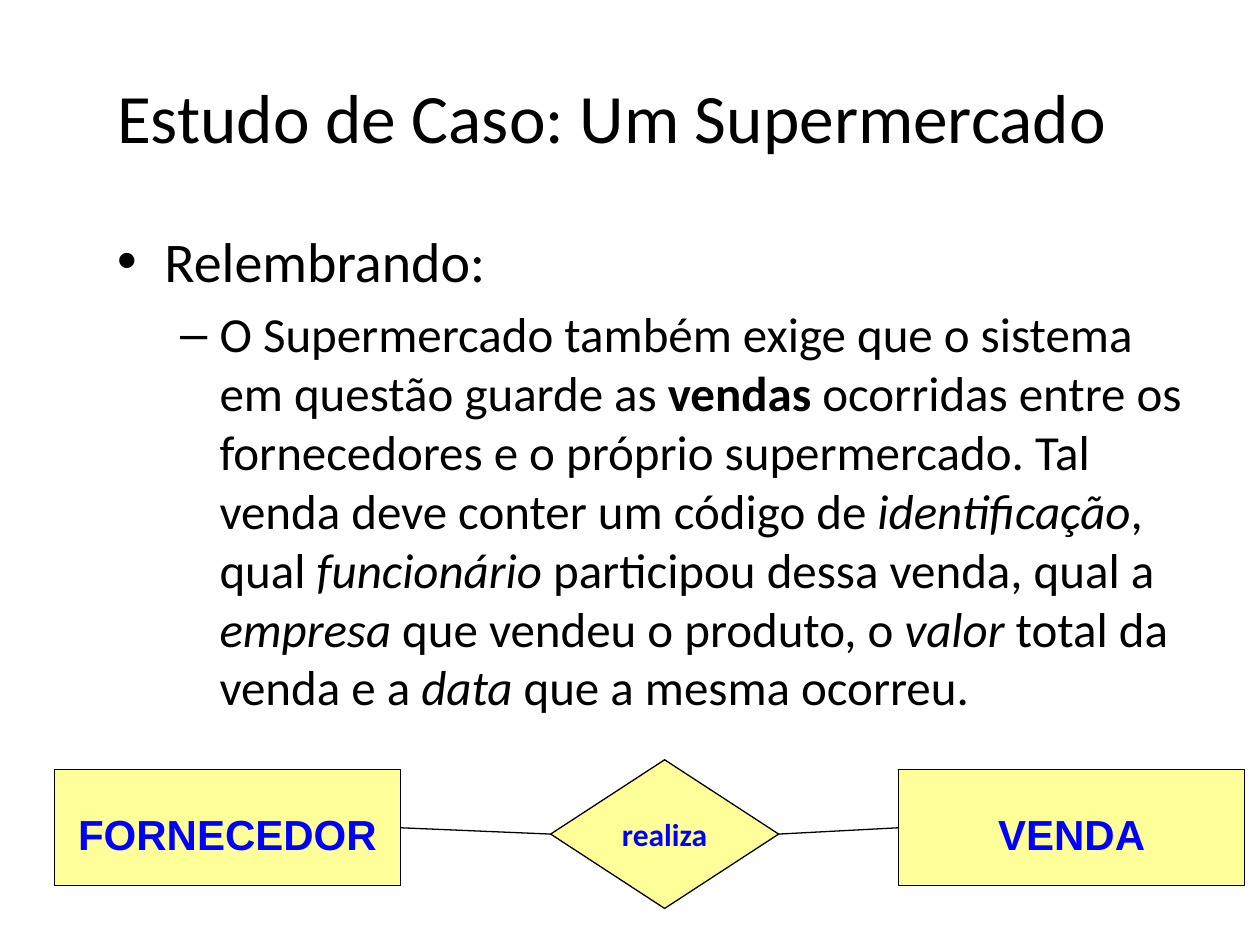
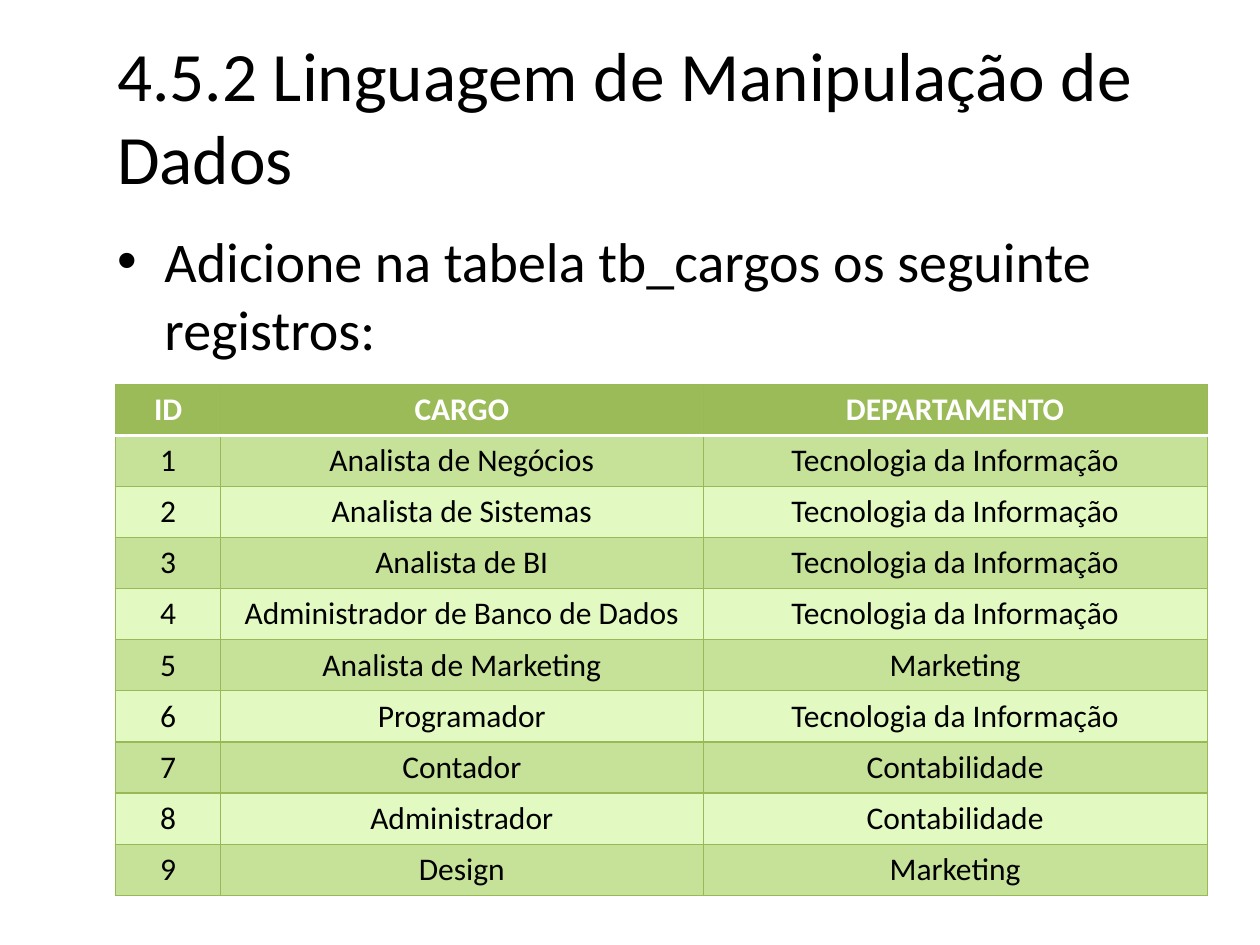
"""Build two database course slides: an entity diagram and a table exercise."""
from lxml import etree
from pptx import Presentation
from pptx.dml.color import RGBColor
from pptx.enum import shapes, text
from pptx.oxml.ns import qn
from pptx.util import Inches, Pt

BLACK = RGBColor(0x00, 0x00, 0x00)
WHITE = RGBColor(0xFF, 0xFF, 0xFF)
BLUE = RGBColor(0x00, 0x00, 0xFF)
YELLOW = RGBColor(0xFF, 0xFF, 0x99)
GREEN = RGBColor(0x9B, 0xBB, 0x59)
BORDER = RGBColor(0x98, 0xB9, 0x55)
BANDS = (RGBColor(0xC6, 0xE1, 0x98), RGBColor(0xE2, 0xFA, 0xC1))
FONT = "Calibri"

CASE_TITLE = "Estudo de Caso: Um Supermercado"
CASE_BODY = [
    (0, [("Relembrando:", "")]),
    (1, [
        ("O Supermercado também exige que o sistema em questão guarde as ", ""),
        ("vendas", "b"),
        (" ocorridas entre os fornecedores e o próprio supermercado. "
         "Tal venda deve conter um código de ", ""),
        ("identificação", "i"),
        (", qual ", ""),
        ("funcionário", "i"),
        (" participou dessa venda, qual a ", ""),
        ("empresa", "i"),
        (" que vendeu o produto, o ", ""),
        ("valor ", "i"),
        ("total da venda e a ", ""),
        ("data", "i"),
        (" que a mesma ocorreu.", ""),
    ]),
]
RECT, DIAMOND = shapes.MSO_SHAPE.RECTANGLE, shapes.MSO_SHAPE.DIAMOND
DIAGRAM = [
    ("FORNECEDOR", RECT, (0.43, 6.11, 2.75, 0.92), "Arial", 24),
    ("realiza", DIAMOND, (4.37, 6.03, 1.81, 1.18), FONT, 18),
    ("VENDA", RECT, (7.13, 6.11, 2.75, 0.92), "Arial", 24),
]

DML_TITLE = "4.5.2 Linguagem de Manipulação de Dados"
DML_BODY = [(0, [("Adicione na tabela tb_cargos os seguinte registros:", "")])]
IT = "Tecnologia da Informação"
HEADER = ("ID", "CARGO", "DEPARTAMENTO")
JOBS = [
    ("Analista de Negócios", IT),
    ("Analista de Sistemas", IT),
    ("Analista de BI", IT),
    ("Administrador de Banco de Dados", IT),
    ("Analista de Marketing", "Marketing"),
    ("Programador", IT),
    ("Contador", "Contabilidade"),
    ("Administrador", "Contabilidade"),
    ("Design", "Marketing"),
]
COLUMNS = (0.83, 3.83, 4)
ROW_HEIGHT = 0.4
TABLE_AT = (0.92, 3.05)


def place(sp, left, top, width, height):
    sp.left, sp.top = Inches(left), Inches(top)
    sp.width, sp.height = Inches(width), Inches(height)


def style(p, size, color=BLACK, name=FONT, bold=None):
    p.font.size, p.font.name, p.font.bold = Pt(size), name, bold
    p.font.color.rgb = color


def add_slide(prs, title, body):
    slide = prs.slides.add_slide(prs.slide_layouts[1])
    heading, content = slide.placeholders
    place(heading, 0.83, 0.29, 8.83, 1.25)
    heading.text_frame.text = title
    heading.text_frame.auto_size = text.MSO_AUTO_SIZE.NONE
    p = heading.text_frame.paragraphs[0]
    p.alignment = text.PP_ALIGN.LEFT
    style(p, 39.6)

    place(content, 0.83, 1.75, 8.83, 4.7)
    tf = content.text_frame
    tf.auto_size = text.MSO_AUTO_SIZE.NONE
    for i, (level, runs) in enumerate(body):
        p = tf.add_paragraph() if i else tf.paragraphs[0]
        p.level = level
        if i == 0:
            p.space_before = Pt(0)
        for words, mark in runs:
            r = p.add_run()
            r.text = words
            if mark == "b":
                r.font.bold = True
            elif mark == "i":
                r.font.italic = True
        style(p, 28 if level else 32)
    return slide


def add_node(slide, label, kind, box, name, size):
    sp = slide.shapes.add_shape(kind, *map(Inches, box))
    sp.shadow.inherit = False
    sp.fill.solid()
    sp.fill.fore_color.rgb = YELLOW
    sp.line.color.rgb = BLACK
    sp.line.width = Pt(0.75)
    tf = sp.text_frame
    tf.vertical_anchor = text.MSO_ANCHOR.MIDDLE
    tf.word_wrap = kind == RECT
    if kind == RECT:
        tf.margin_top, tf.margin_bottom = Inches(0.15), Inches(0.05)
    p = tf.paragraphs[0]
    p.text = label
    p.alignment = text.PP_ALIGN.CENTER
    style(p, size, BLUE, name, True)
    return sp


def link(slide, start, end):
    line = slide.shapes.add_connector(shapes.MSO_CONNECTOR.STRAIGHT, 0, 0, 0, 0)
    line.begin_connect(start, 3)
    line.end_connect(end, 1)
    line.line.color.rgb = BLACK
    line.line.width = Pt(0.75)
    etree.SubElement(line._element.spPr, qn("a:effectLst"))


def fill_cell(cell, words, fill, color, bold, borders):
    p = cell.text_frame.paragraphs[0]
    p.text = words
    p.alignment = text.PP_ALIGN.CENTER
    style(p, 18, color, bold=bold)
    tc_pr = cell._tc.get_or_add_tcPr()
    for side, (line_color, width) in borders.items():
        ln = etree.SubElement(tc_pr, qn(f"a:ln{side}"), w=str(Pt(width)))
        solid = etree.SubElement(ln, qn("a:solidFill"))
        etree.SubElement(solid, qn("a:srgbClr"), val=str(line_color))
    cell.fill.solid()
    cell.fill.fore_color.rgb = fill


def add_jobs_table(slide):
    rows = [HEADER] + [(str(i), *job) for i, job in enumerate(JOBS, 1)]
    size = (sum(COLUMNS), ROW_HEIGHT * len(rows))
    table = slide.shapes.add_table(
        len(rows), len(COLUMNS), *map(Inches, TABLE_AT + size)).table
    for column, width in zip(table.columns, COLUMNS):
        column.width = Inches(width)
    for i, row in enumerate(rows):
        borders = dict.fromkeys("LRTB", (BORDER, 0.75))
        if i < 2:
            borders["T" if i else "B"] = (WHITE, 2)
        fill, color = (BANDS[(i - 1) % 2], BLACK) if i else (GREEN, WHITE)
        for j, words in enumerate(row):
            fill_cell(table.cell(i, j), words, fill, color, i == 0, borders)


def main():
    prs = Presentation()
    prs.slide_width, prs.slide_height = Inches(10), Inches(7.5)

    case = add_slide(prs, CASE_TITLE, CASE_BODY)
    nodes = [add_node(case, *node) for node in DIAGRAM]
    for start, end in zip(nodes, nodes[1:]):
        link(case, start, end)

    add_jobs_table(add_slide(prs, DML_TITLE, DML_BODY))
    prs.save("out.pptx")


if __name__ == "__main__":
    main()
